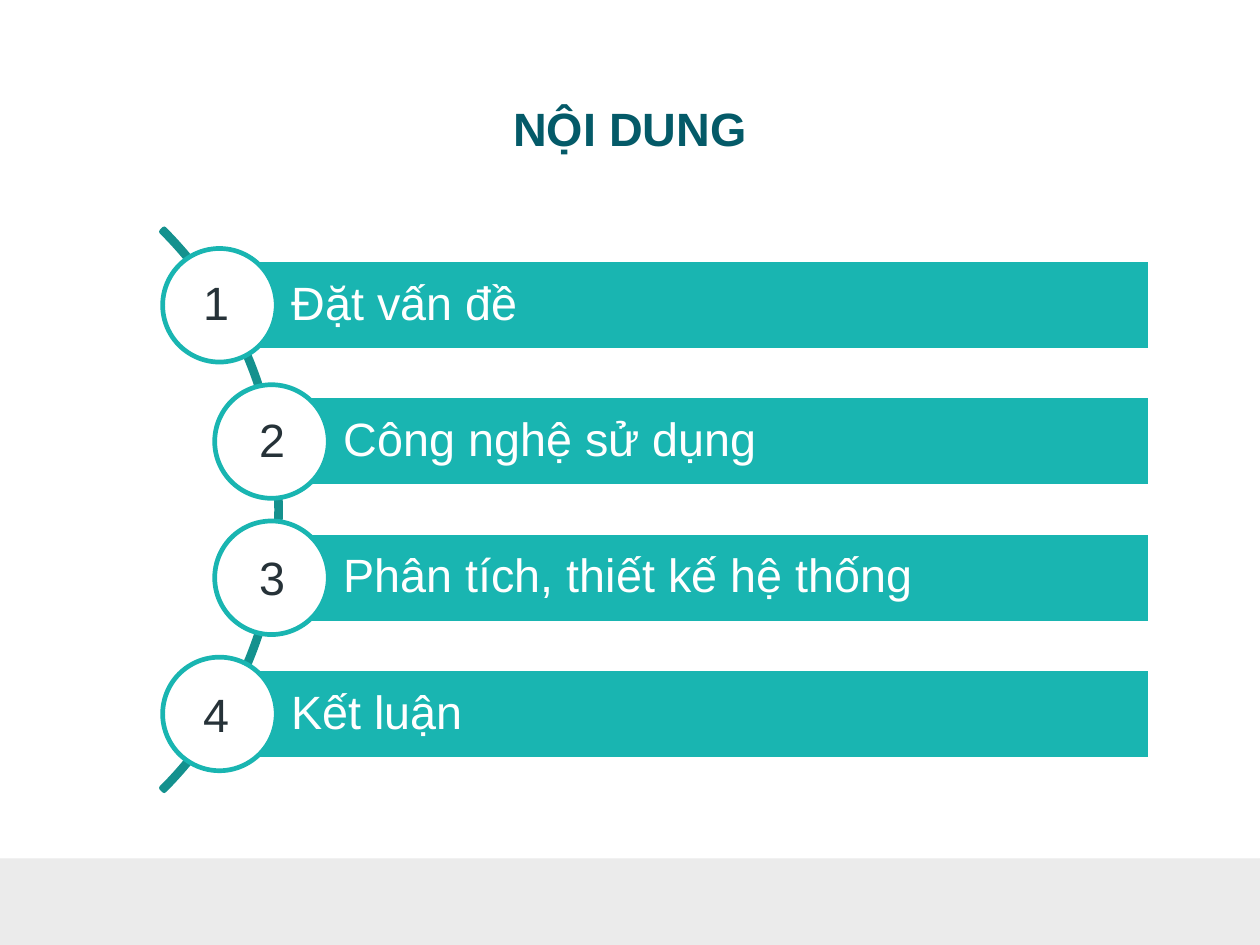
"""Build a contents slide: four numbered bars hung along an arc."""
from dataclasses import dataclass
from typing import Optional

from pptx import Presentation
from pptx.dml.color import RGBColor
from pptx.enum.shapes import MSO_SHAPE
from pptx.enum.text import MSO_ANCHOR, PP_ALIGN
from pptx.util import Inches, Pt

COLS, ROWS = 75, 56.25
CELL = Inches(0.1)
PITCH = 8.11
RIGHT = 68.5

WHITE = RGBColor(0xFF, 0xFF, 0xFF)
TEAL = RGBColor(0x19, 0xB5, 0xB1)
PINE = RGBColor(0x14, 0x91, 0x8E)
DEEP = RGBColor(0x04, 0x5A, 0x68)
INK = RGBColor(0x26, 0x32, 0x38)
GREY = RGBColor(0xEB, 0xEB, 0xEB)


@dataclass(frozen=True)
class Box:
    """A place on the grid, in columns and rows."""
    left: float
    top: float
    width: float
    height: float

    def place(self) -> list[int]:
        """Give the box in slide units."""
        return [round(n * CELL) for n in (self.left, self.top, self.width, self.height)]


@dataclass(frozen=True)
class Topic:
    """One bar of the list, with the left edges of its bar and digit."""
    text: str
    left: float
    digit: float


TOPICS = (
    Topic("Đặt vấn đề", 13.06, 11.15),
    Topic("Công nghệ sử dụng", 16.16, 14.45),
    Topic("Phân tích, thiết kế hệ thống", 16.16, 14.45),
    Topic("Kết luận", 13.06, 11.15),
)


def draw(slide, kind: MSO_SHAPE, box: Box, fill: Optional[RGBColor], line: Optional[RGBColor]):
    """Add a flat shape with an optional fill and outline."""
    shape = slide.shapes.add_shape(kind, *box.place())
    shape.shadow.inherit = False
    for part, tint in ((shape.fill, fill), (shape.line.fill, line)):
        if tint is None:
            part.background()
        else:
            part.solid()
            part.fore_color.rgb = tint
    if line is not None:
        shape.line.width = Pt(2)
    return shape


def write(shape, text: str, tint: RGBColor, frame: dict, para: dict, bold: bool = False) -> None:
    """Set a line of text and apply its format values."""
    body = shape.text_frame
    line = body.paragraphs[0]
    run = line.add_run()
    run.text = text
    font = {"name": "Arial", "size": Pt(20), "bold": bold}
    for target, values in ((body, {"word_wrap": True, **frame}), (line, para), (run.font, font)):
        for name, value in values.items():
            setattr(target, name, value)
    run.font.color.rgb = tint


def label(slide, box: Box, text: str, tint: RGBColor, frame: dict, para: dict, bold: bool = False) -> None:
    """Add a text box with one line."""
    write(slide.shapes.add_textbox(*box.place()), text, tint, frame, para, bold)


def entry(slide, index: int, topic: Topic) -> None:
    """Draw the bar and ring of one topic."""
    top = 15.47 + index * PITCH
    bar = draw(slide, MSO_SHAPE.RECTANGLE, Box(topic.left, top, RIGHT - topic.left, 5.4), TEAL, WHITE)
    pad = Inches(0.06)
    frame = {"vertical_anchor": MSO_ANCHOR.MIDDLE, "margin_left": Inches(0.43),
             "margin_right": pad, "margin_top": pad, "margin_bottom": pad}
    write(bar, topic.text, WHITE, frame, {"alignment": PP_ALIGN.LEFT, "line_spacing": 0.9})
    draw(slide, MSO_SHAPE.OVAL, Box(topic.left - 3.38, top - 0.68, 6.76, 6.76), WHITE, TEAL)


def main() -> None:
    """Build and save the slide."""
    deck = Presentation()
    deck.slide_width, deck.slide_height = round(COLS * CELL), round(ROWS * CELL)
    slide = deck.slides.add_slide(deck.slide_layouts[6])
    draw(slide, MSO_SHAPE.RECTANGLE, Box(0, 51.1, COLS, ROWS - 51.1), GREY, None)
    label(slide, Box(0, 5.46, COLS, 4.3), "NỘI DUNG", DEEP,
          {"vertical_anchor": MSO_ANCHOR.MIDDLE}, {"alignment": PP_ALIGN.CENTER}, True)
    arc = draw(slide, MSO_SHAPE.BLOCK_ARC, Box(-30.6, 6.7, 47.3, 47.3), None, PINE)
    for index, value in enumerate((189, 27, 0.005)):
        arc.adjustments[index] = value
    for index, topic in enumerate(TOPICS):
        entry(slide, index, topic)
    for index, topic in enumerate(TOPICS):
        label(slide, Box(topic.digit, 15.8 + index * 8.18, 3.8, 4.4), str(index + 1), INK,
              {"vertical_anchor": MSO_ANCHOR.TOP}, {"alignment": PP_ALIGN.LEFT})
    deck.save("out.pptx")


if __name__ == "__main__":
    main()
